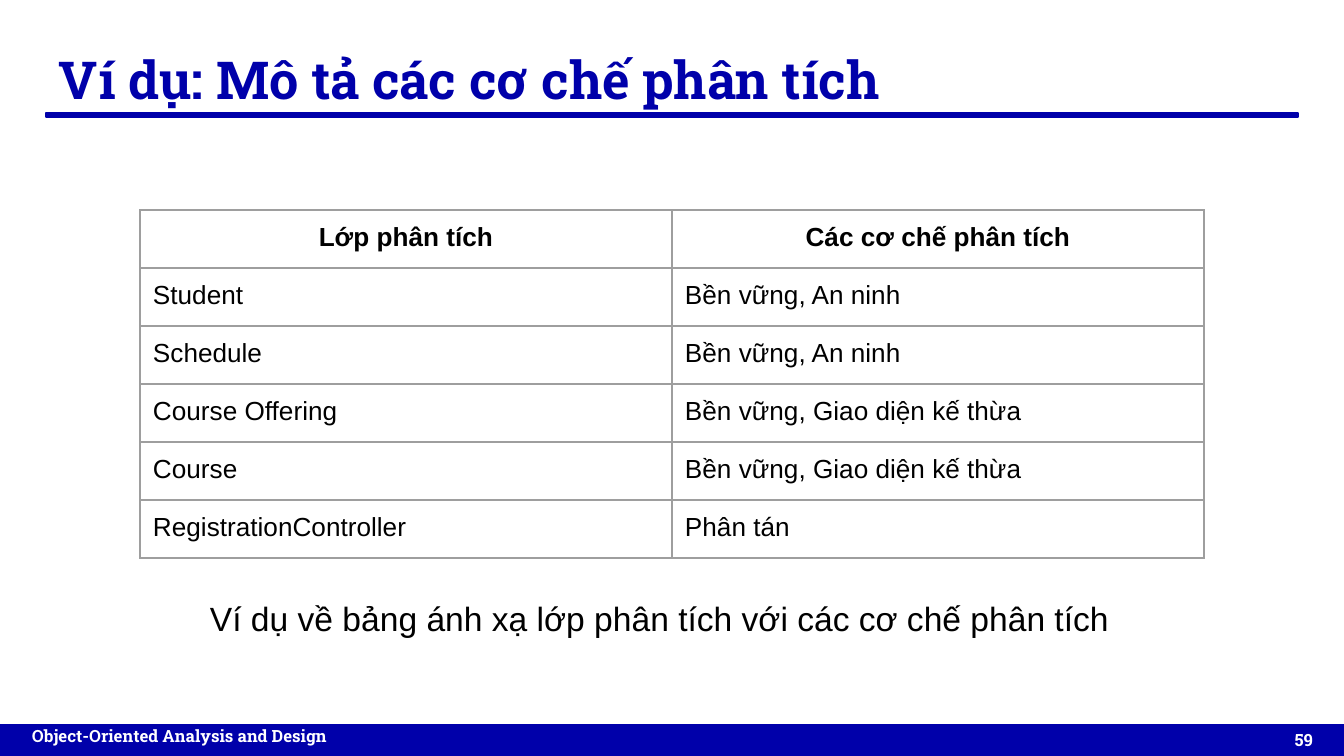
"""Build a slide that maps analysis classes to analysis mechanisms."""
from dataclasses import dataclass

from lxml.etree import SubElement as Sub
from pptx import Presentation
from pptx.dml.color import RGBColor as RGB
from pptx.enum.shapes import MSO_SHAPE as Shape
from pptx.enum.text import MSO_ANCHOR as Anchor, MSO_AUTO_SIZE as Fit, PP_ALIGN as Align
from pptx.oxml.ns import qn
from pptx.util import Pt

SCALE = 914400 / 134.4
PAD = 13
ROWS = [
    ("Lớp phân tích", "Các cơ chế phân tích"),
    ("Student", "Bền vững, An ninh"),
    ("Schedule", "Bền vững, An ninh"),
    ("Course Offering", "Bền vững, Giao diện kế thừa"),
    ("Course", "Bền vững, Giao diện kế thừa"),
    ("RegistrationController", "Phân tán"),
]


@dataclass(frozen=True)
class Type:
    face: str
    size: int
    color: str
    bold: bool = False


@dataclass(frozen=True)
class Theme:
    blue: str = "0000AA"
    grid: str = "9E9E9E"
    line: float = 0.75
    title: Type = Type("Roboto Slab", 28, "0000AA", True)
    foot: Type = Type("Roboto Slab", 9, "FFFFFF", True)
    head: Type = Type("Arial", 14, "000000", True)
    body: Type = Type("Arial", 14, "000000")
    note: Type = Type("Arial", 18, "000000")


THEME = Theme()


def px(num):
    return round(num * SCALE)


def box(*nums):
    return [px(num) for num in nums]


def inset(item):
    item.margin_left = item.margin_right = px(PAD)
    item.margin_top = item.margin_bottom = px(PAD)


def write(frame, text, style, align=Align.LEFT):
    para = frame.paragraphs[0]
    para.alignment = align
    run = para.add_run()
    run.text = text
    font = run.font
    font.name, font.size, font.bold = style.face, Pt(style.size), style.bold
    font.color.rgb = RGB.from_string(style.color)


def add_title(slide, text, area):
    title = slide.shapes.title
    title.left, title.top, title.width, title.height = box(*area)
    frame = title.text_frame
    frame.auto_size, frame.vertical_anchor = Fit.NONE, Anchor.TOP
    inset(frame)
    write(frame, text, THEME.title)


def add_text(slide, text, area, style, align=Align.LEFT, anchor=Anchor.TOP, fit=Fit.NONE):
    frame = slide.shapes.add_textbox(*box(*area)).text_frame
    frame.word_wrap, frame.auto_size, frame.vertical_anchor = True, fit, anchor
    inset(frame)
    write(frame, text, style, align)


def add_bar(slide, area):
    bar = slide.shapes.add_shape(Shape.RECTANGLE, *box(*area))
    bar.shadow.inherit = False
    bar.fill.solid()
    bar.fill.fore_color.rgb = bar.line.color.rgb = RGB.from_string(THEME.blue)
    bar.line.width = Pt(THEME.line)


def add_edges(cell):
    props = cell._tc.get_or_add_tcPr()
    for side in ("a:lnL", "a:lnR", "a:lnT", "a:lnB"):
        edge = Sub(props, qn(side), w=str(Pt(THEME.line)))
        fill = Sub(edge, qn("a:solidFill"))
        Sub(fill, qn("a:srgbClr"), val=THEME.grid)


def add_grid(slide, rows, left, top, wide, high):
    area = box(left, top, wide * len(rows[0]), high * len(rows))
    table = slide.shapes.add_table(len(rows), len(rows[0]), *area).table
    table.first_row = table.horz_banding = False
    for col in table.columns:
        col.width = px(wide)
    for i, row in enumerate(rows):
        table.rows[i].height = px(high)
        style, align = (THEME.body, Align.LEFT) if i else (THEME.head, Align.CENTER)
        for j, text in enumerate(row):
            cell = table.cell(i, j)
            inset(cell)
            add_edges(cell)
            cell.fill.background()
            write(cell.text_frame, text, style, align)


def main():
    deck = Presentation()
    deck.slide_width, deck.slide_height = box(1344, 756)
    slide = deck.slides.add_slide(deck.slide_layouts[5])
    add_title(slide, "Ví dụ: Mô tả các cơ chế phân tích", (46, 34, 1252, 85))
    add_bar(slide, (46, 113, 1252, 4))
    add_bar(slide, (0, 725, 1344, 31))
    add_text(slide, "59", (1246, 711, 80, 58), THEME.foot, Align.RIGHT, Anchor.MIDDLE)
    add_text(slide, "Object-Oriented Analysis and Design", (19, 716, 478, 67),
             THEME.foot, fit=Fit.SHAPE_TO_FIT_TEXT)
    add_grid(slide, ROWS, 140, 210, 532, 58)
    add_text(slide, "Ví dụ về bảng ánh xạ lớp phân tích với các cơ chế phân tích",
             (197, 585, 981, 67), THEME.note, fit=Fit.SHAPE_TO_FIT_TEXT)
    deck.save("out.pptx")


if __name__ == "__main__":
    main()
